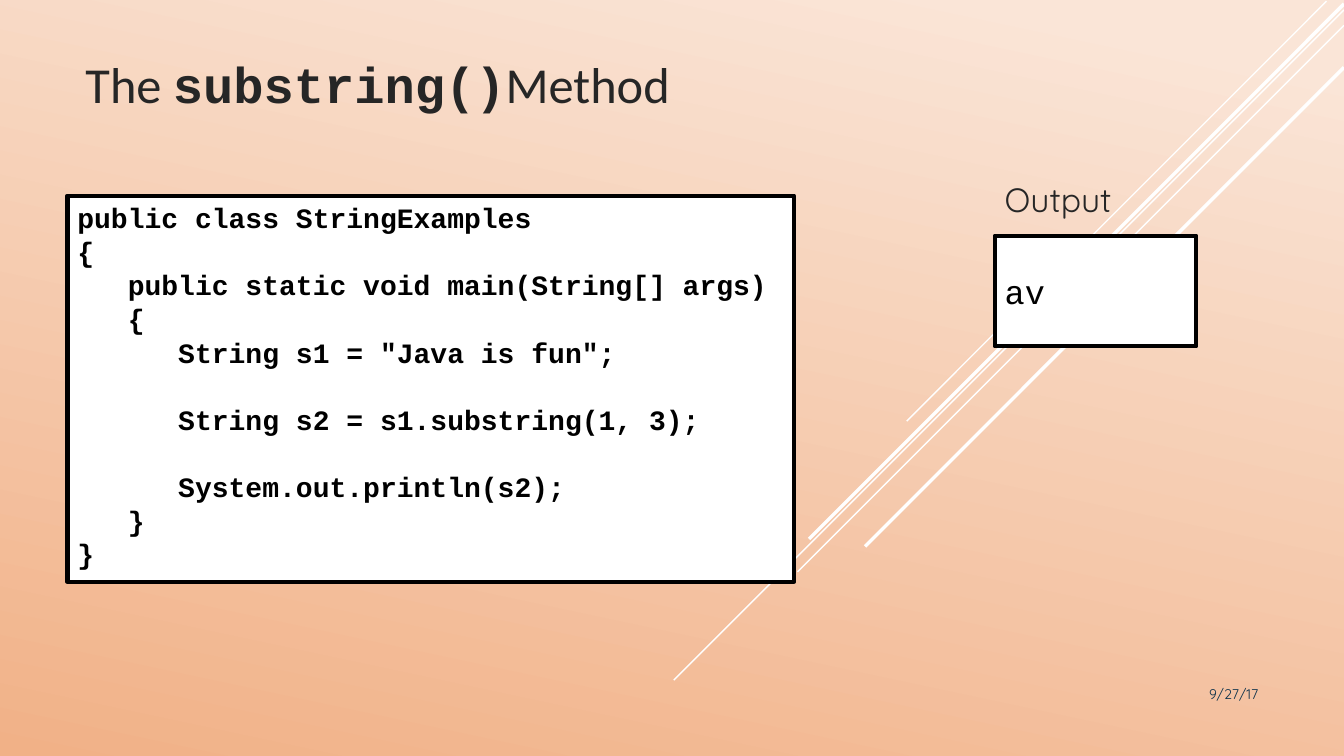
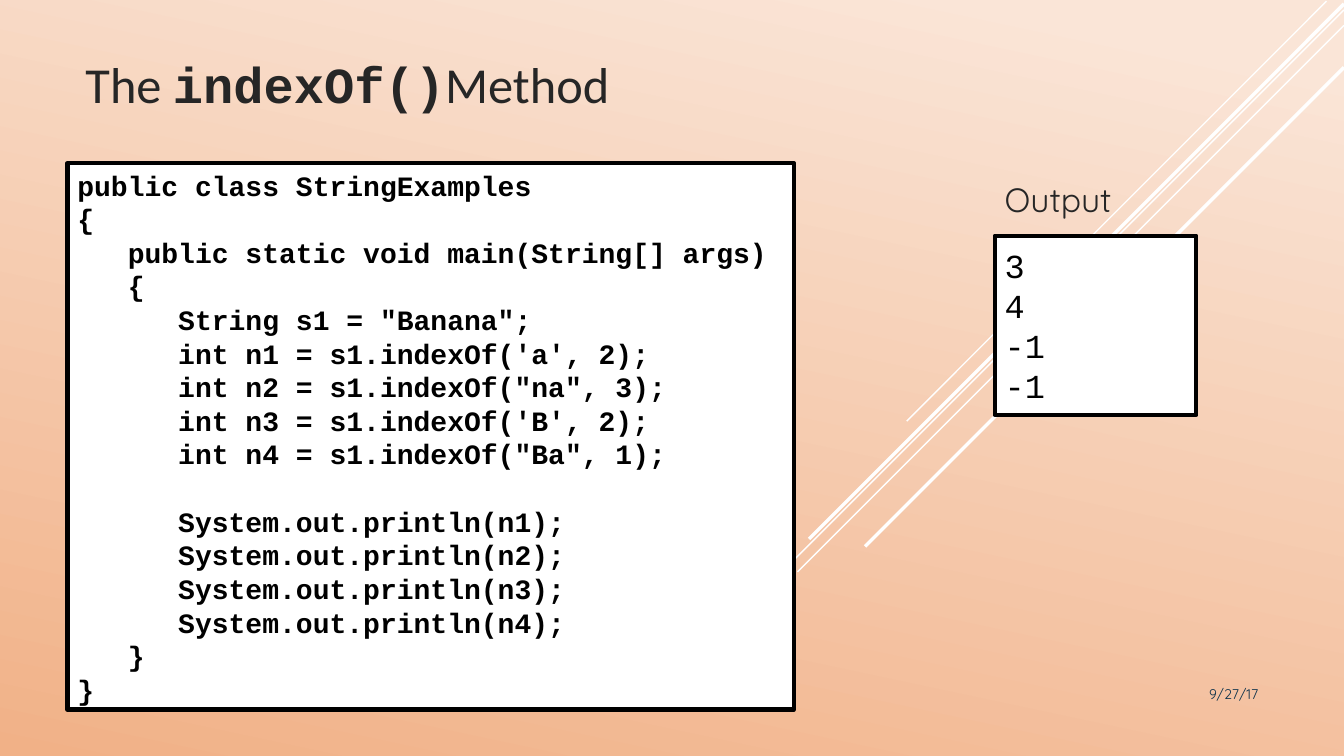
from lxml.etree import SubElement
from pptx import Presentation
from pptx.dml.color import RGBColor
from pptx.enum.shapes import MSO_CONNECTOR, MSO_SHAPE
from pptx.enum.text import MSO_ANCHOR, MSO_AUTO_SIZE, PP_ALIGN
from pptx.oxml.ns import qn
from pptx.util import Cm, Pt


class Theme:
    pale = RGBColor.from_string("FAE5D7")
    peach = RGBColor.from_string("F1B187")
    white = RGBColor.from_string("FFFFFF")
    black = RGBColor.from_string("000000")
    ink = RGBColor.from_string("262626")
    navy = RGBColor.from_string("0A304A")
    # Font formats by role
    head = {"name": "Calibri", "size": Pt(36), "bold": False, "color": ink}
    call = {"name": "Courier New", "size": Pt(36), "bold": True, "color": ink}
    code = {"name": "Courier New", "size": Pt(20), "bold": True, "color": black}
    out = {"name": "Courier New", "size": Pt(24), "bold": False, "color": black}
    label = {"name": "Quicksand", "size": Pt(24), "bold": False, "color": ink}
    date = {"name": "Quicksand", "size": Pt(10), "bold": False, "color": navy}


SUBSTRING = """public class StringExamples
{
   public static void main(String[] args)
   {
      String s1 = "Java is fun";
      
      String s2 = s1.substring(1, 3);
      
      System.out.println(s2);
   }
}"""

INDEX = """public class StringExamples
{
   public static void main(String[] args)
   {
      String s1 = "Banana";
      int n1 = s1.indexOf('a', 2);
      int n2 = s1.indexOf("na", 3);
      int n3 = s1.indexOf('B', 2);
      int n4 = s1.indexOf("Ba", 1);
      
      System.out.println(n1);
      System.out.println(n2);
      System.out.println(n3);
      System.out.println(n4);
   }
}"""

# Method, code, code top and height, output, output height (cm)
PAGES = [
    ("substring()", SUBSTRING, 4.93, 9.73, ["av"], 2.79),
    ("indexOf()", INDEX, 4.11, 13.77, ["3", "4", "-1", "-1"], 4.52),
]

# Diagonal stripes at 45 degrees: right end, top, run (cm), weight (pt)
STRIPES = [
    (33.43, 0.03, 10.58, 1),
    (33.87, 0.25, 16.89, 1),
    (33.87, 0.64, 13.77, 1),
    (33.87, 0.1, 13.48, 2.5),
    (33.87, 1.7, 12.07, 2.5),
]


def style(runs, form):
    for run in runs:
        for key, value in form.items():
            if key == "color":
                run.font.color.rgb = value
            else:
                setattr(run.font, key, value)


def write(slide, area, paras, form, frame=False, anchor=MSO_ANCHOR.TOP,
          align=PP_ALIGN.LEFT, pitch=None):
    """Add a text box, or a framed white panel, with one paragraph per item."""
    area = [Cm(n) for n in area]
    if frame:
        shape = slide.shapes.add_shape(MSO_SHAPE.RECTANGLE, *area)
        shape.shadow.inherit = False
        shape.fill.solid()
        shape.fill.fore_color.rgb = Theme.white
        shape.line.color.rgb = Theme.black
        shape.line.width = Pt(3)
    else:
        shape = slide.shapes.add_textbox(*area)
    text = shape.text_frame
    text.word_wrap = True
    text.vertical_anchor = anchor
    for i, words in enumerate(paras):
        para = text.add_paragraph() if i else text.paragraphs[0]
        para.text = words
        para.alignment = align
        para.line_spacing = pitch
        style(para.runs, form)


deck = Presentation()
deck.slide_width, deck.slide_height = Cm(33.87), Cm(19.05)
master = deck.slide_master
layout = deck.slide_layouts[5]

# Shared background
fill = master.background.fill
fill.gradient()
fill.gradient_angle = 258
for stop, place, tone in zip(fill.gradient_stops, (0.07, 1), (Theme.pale, Theme.peach)):
    stop.position = place
    stop.color.rgb = tone

for page, (method, code, top, tall, lines, high) in enumerate(PAGES):
    slide = deck.slides.add_slide(layout)

    # Stripes are drawn once and moved to the master
    if page == 0:
        for i, (x, y, run, weight) in enumerate(STRIPES):
            stripe = slide.shapes.add_connector(
                MSO_CONNECTOR.STRAIGHT, Cm(x), Cm(y), Cm(x - run), Cm(y + run))
            stripe.line.color.rgb = Theme.white
            stripe.line.width = Pt(weight)
            SubElement(stripe.element.spPr, qn("a:effectLst"))
            stripe.element.xpath("./p:nvCxnSpPr/p:cNvPr")[0].set("id", str(100 + i))
            master.shapes.element.append(stripe.element)

    # Title
    title = slide.shapes.title
    title.left, title.top, title.width, title.height = Cm(1.9), Cm(0.38), Cm(27.43), Cm(2.62)
    text = title.text_frame
    text.auto_size = MSO_AUTO_SIZE.NONE
    text.vertical_anchor = MSO_ANCHOR.BOTTOM
    para = text.paragraphs[0]
    para.alignment = PP_ALIGN.LEFT
    for words, form in (("The ", Theme.head), (method, Theme.call), ("Method", Theme.head)):
        run = para.add_run()
        run.text = words
        style([run], form)

    # Code, output and date
    write(slide, (1.7, top, 18.31, tall), [code], Theme.code, frame=True, pitch=Pt(24))
    write(slide, (25.07, 4.39, 4.24, 1.37), ["Output"], Theme.label)
    write(slide, (25.07, 5.94, 5.08, high), lines, Theme.out, frame=True,
          anchor=MSO_ANCHOR.MIDDLE, pitch=Pt(28.6))
    write(slide, (27.51, 17.15, 4.45, 1.02), ["9/27/17"], Theme.date, align=PP_ALIGN.RIGHT)

deck.save("out.pptx")
